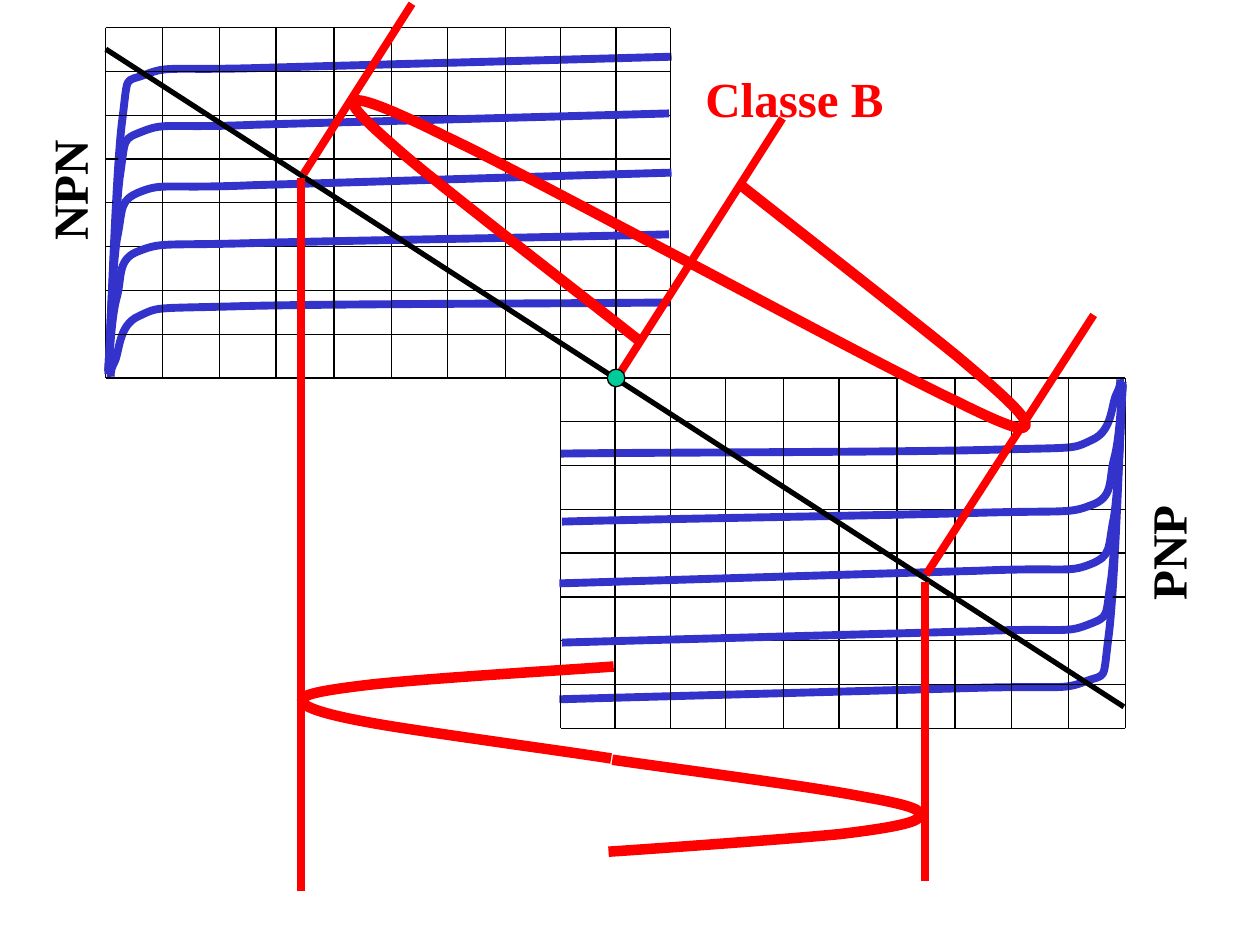
from dataclasses import dataclass

from lxml.etree import SubElement
from pptx import Presentation
from pptx.dml.color import RGBColor as Rgb
from pptx.enum.shapes import MSO_CONNECTOR as Connector, MSO_SHAPE as Shape
from pptx.enum.text import MSO_AUTO_SIZE as AutoSize, PP_ALIGN as Align
from pptx.oxml.ns import qn
from pptx.util import Inches, Pt


@dataclass(frozen=True)
class Theme:
    ink: Rgb = Rgb(0, 0, 0)
    curve: Rgb = Rgb(0x33, 0x33, 0xCC)
    signal: Rgb = Rgb(0xFF, 0, 0)
    rest_point: Rgb = Rgb(0, 0xCC, 0x99)
    font: str = "Times New Roman"
    label_size: Pt = Pt(28)
    thin: Pt = Pt(0.75)
    load: Pt = Pt(3)
    medium: Pt = Pt(4.5)
    thick: Pt = Pt(6)


theme = Theme()
presentation = Presentation()
presentation.slide_width, presentation.slide_height = Inches(10), Inches(7.5)
slide = presentation.slides.add_slide(presentation.slide_layouts[6])
shapes = slide.shapes

# All positions are (column, row) on a grid of 100 by 75 cells.
COLUMN = presentation.slide_width // 100
ROW = presentation.slide_height // 75


def draw_line(start, end, color, width):
    connector = shapes.add_connector(
        Connector.STRAIGHT,
        round(start[0] * COLUMN), round(start[1] * ROW),
        round(end[0] * COLUMN), round(end[1] * ROW))
    connector.line.color.rgb = color
    connector.line.width = width
    SubElement(connector._element.spPr, qn("a:effectLst"))


def draw_curve(points, color, width):
    """Draw a Bézier chain: a start point, then two controls and an end per piece."""
    start, *rest = [(round(x * COLUMN), round(y * ROW)) for x, y in points]
    builder = shapes.build_freeform(*start, scale=1.0)
    builder.add_line_segments(rest, close=False)
    shape = builder.convert_to_shape()
    outline = shape._element.xpath(".//a:path")[0]
    segments = outline.findall(qn("a:lnTo"))
    for first in range(0, len(segments), 3):
        bezier = SubElement(outline, qn("a:cubicBezTo"))
        for segment in segments[first:first + 3]:
            bezier.append(segment[0])
            outline.remove(segment)
    shape.fill.background()
    shape.line.color.rgb = color
    shape.line.width = width
    shape.shadow.inherit = False


# Characteristics: the PNP chart is the NPN chart turned by half a turn.
LEFT, RIGHT, TOP, BOTTOM = 8.4, 53.2, 2.2, 30
grid_columns = [LEFT, 12.9, 17.4, 21.9, 26.5, 31.1, 35.5, 40.1, 44.5, 48.9, RIGHT]
grid_rows = [TOP + (BOTTOM - TOP) / 8 * step for step in range(9)]
grid_lines = [((LEFT, y), (RIGHT, y)) for y in grid_rows]
grid_lines += [((x, TOP), (x, BOTTOM)) for x in grid_columns]

characteristics = [
    [(8.8, 29.9), (8.8, 29.7), (8.7, 29.5), (9.1, 28.7), (9.5, 27.9), (9.4, 25.8),
     (11, 25.1), (12.7, 24.3), (12, 24.5), (19.1, 24.3), (26.1, 24.1), (46.1, 24.1),
     (53.2, 24)],
    [(8.6, 29.4), (8.8, 26.1), (9.2, 13.5), (9.7, 9.6), (10.2, 5.7), (9.8, 6.6),
     (11.6, 5.9), (13.4, 5.2), (13.5, 5.6), (20.5, 5.4), (27.4, 5.2), (46.4, 4.7),
     (53.3, 4.5)],
    [(8.6, 29.5), (8.8, 26.9), (9.1, 17.3), (9.5, 14.1), (10, 10.9), (9.6, 11.1),
     (11.4, 10.4), (13.2, 9.7), (13.3, 10.2), (20.3, 9.9), (27.2, 9.7), (46.3, 9.2),
     (53.1, 9)],
    [(8.6, 29.5), (8.7, 27.8), (8.9, 21.3), (9.3, 18.9), (9.8, 16.5), (9.4, 15.9),
     (11.2, 15.2), (13, 14.5), (13.1, 15), (20.1, 14.7), (27.1, 14.5), (46.4, 13.9),
     (53.3, 13.7)],
    [(8.6, 29.7), (8.7, 28.7), (8.8, 25.2), (9.3, 23.5), (9.7, 21.9), (9.3, 20.5),
     (11.1, 19.9), (12.9, 19.2), (13, 19.5), (20, 19.3), (27, 19.1), (46.2, 18.8),
     (53.1, 18.6)],
]

for turned in (False, True):
    def place(points):
        return [(97.7 - x, 60 - y) for x, y in points] if turned else points

    for points in characteristics[:2]:
        draw_curve(place(points), theme.curve, theme.medium)
    for ends in grid_lines:
        draw_line(*place(ends), theme.ink, theme.thin)
    for points in characteristics[2:]:
        draw_curve(place(points), theme.curve, theme.medium)

draw_line((8.4, 3.9), (89.2, 56.1), theme.ink, theme.load)

# Input signal, its projection lines and the output signal
input_halves = [
    [(54.8, 20.9), (51.5, 19.2), (39.8, 12.9), (35.3, 10.8), (30.9, 8.6), (28.7, 7.8),
     (28.2, 8), (27.7, 8.3), (28.5, 9.2), (32.2, 12.4), (36, 15.6), (46.9, 24),
     (50.8, 27.1)],
    [(58.8, 14.7), (61.7, 17), (72.2, 25.2), (76, 28.3), (79.8, 31.5), (81.5, 33.1),
     (81.4, 33.7), (81.4, 34.3), (80.2, 34), (75.8, 31.8), (71.3, 29.7), (59.2, 23.2),
     (54.8, 20.9)],
]
output_halves = [
    [(48.5, 60.2), (45.4, 59.7), (34.3, 58.2), (30.2, 57.5), (26.1, 56.8), (24.2, 56.2),
     (24, 55.7), (23.8, 55.2), (24.8, 54.9), (28.9, 54.4), (33, 53.9), (44.6, 53.2),
     (48.7, 52.9)],
    [(48.3, 67.6), (51.4, 67.4), (62.6, 66.6), (66.7, 66.2), (70.8, 65.7), (72.8, 65.3),
     (73, 64.8), (73.3, 64.3), (72.3, 63.9), (68.3, 63.2), (64.2, 62.4), (52.7, 60.9),
     (48.6, 60.3)],
]
projections = [
    ((48.9, 30.1), (62.1, 9.4)),
    ((24.1, 13.8), (32.7, 0.3)),
    ((73.5, 45.6), (86.8, 25)),
    ((23.9, 14.1), (23.9, 70.7)),
    ((73.4, 46.2), (73.4, 69.9)),
]
for points in input_halves + output_halves:
    draw_curve(points, theme.signal, theme.thick)
for start, end in projections:
    draw_line(start, end, theme.signal, theme.medium)

labels = [
    ("NPN", 0.2, 12.5, 10, 270, theme.ink),
    ("PNP", 87.4, 41.3, 10, 270, theme.ink),
    ("Classe B", 55, 4.95, 16.1, 0, theme.signal),
]
for text, left, top, width, rotation, color in labels:
    box = shapes.add_textbox(round(left * COLUMN), round(top * ROW),
                             round(width * COLUMN), round(5.2 * ROW))
    box.rotation = rotation
    frame = box.text_frame
    frame.word_wrap = False
    frame.auto_size = AutoSize.SHAPE_TO_FIT_TEXT
    paragraph = frame.paragraphs[0]
    paragraph.text = text
    paragraph.alignment = Align.CENTER
    paragraph.font.name = theme.font
    paragraph.font.size = theme.label_size
    paragraph.font.bold = True
    paragraph.font.color.rgb = color

rest_point = shapes.add_shape(Shape.OVAL, round(48.2 * COLUMN), round(29.3 * ROW),
                              round(1.4 * COLUMN), round(1.4 * ROW))
rest_point.shadow.inherit = False
rest_point.fill.solid()
rest_point.fill.fore_color.rgb = theme.rest_point
rest_point.line.color.rgb = theme.ink
rest_point.line.width = theme.thin

presentation.save("out.pptx")
